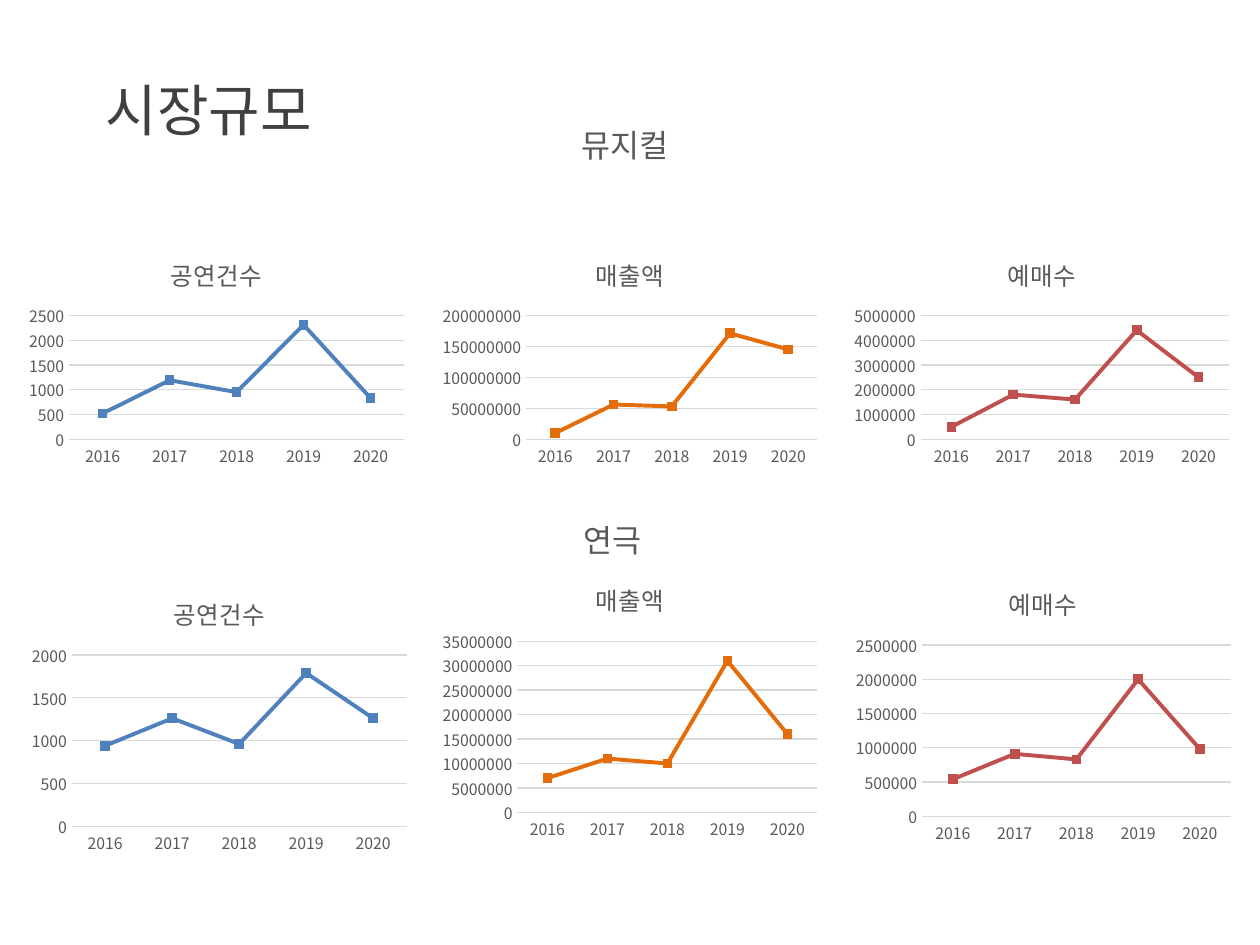
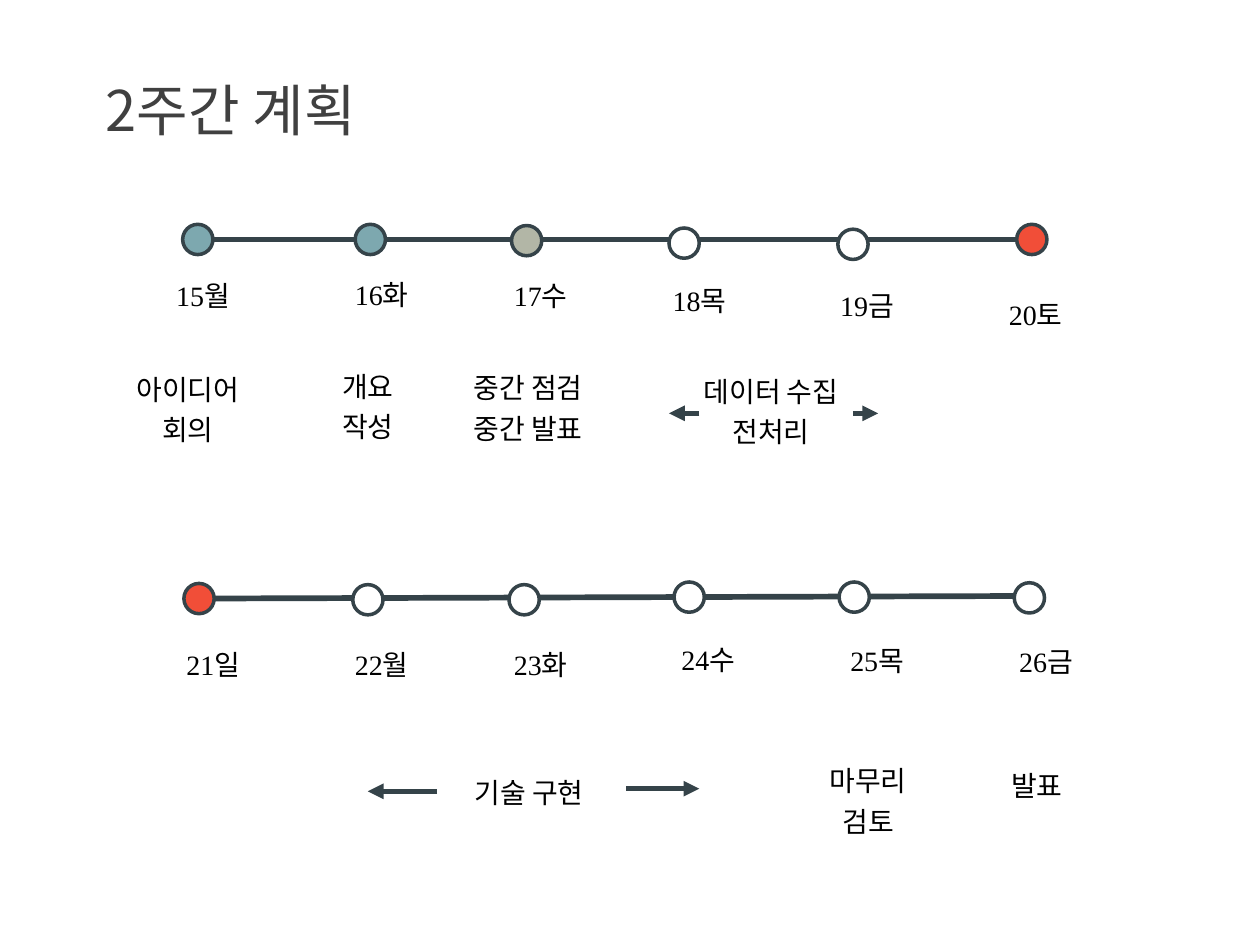
from lxml import etree
from pptx import Presentation
from pptx.chart.data import CategoryChartData as ChartData
from pptx.dml.color import RGBColor
from pptx.enum.chart import XL_CHART_TYPE as ChartType, XL_TICK_MARK as TickMark
from pptx.enum.shapes import MSO_CONNECTOR as Connector, MSO_SHAPE as Shape
from pptx.enum.text import MSO_ANCHOR as Anchor, MSO_AUTO_SIZE as AutoSize, PP_ALIGN as Align
from pptx.oxml.ns import qn
from pptx.util import Pt

SANS = "Noto Sans CJK KR"
GRAY, GRID, SLATE = "595959", "D9D9D9", "354349"
TEAL, SAGE, RED, WHITE = "7DA8AF", "B2B6A6", "F14E38", "FFFFFF"


def color(hex_string):
    return RGBColor.from_string(hex_string)


def write(frame, text, size=16, ink="000000", font=SANS, align=Align.LEFT, spacing=None):
    for index, line in enumerate(text.split("\n")):
        para = frame.add_paragraph() if index else frame.paragraphs[0]
        para.alignment = align
        para.line_spacing = spacing
        span = para.add_run()
        span.text = line
        span.font.size = Pt(size)
        span.font.bold = False
        span.font.color.rgb = color(ink)
        span.font.name = font
        east_asian = etree.SubElement(span.font._element, qn("a:ea"))
        east_asian.set("typeface", SANS)


deck = Presentation()
deck.slide_width, deck.slide_height = Pt(720), Pt(540)

pages = []
for text, width in [("시장규모", 144), ("2주간 계획", 172.8)]:
    page = deck.slides.add_slide(deck.slide_layouts[5])
    title = page.shapes.title
    title.left, title.top, title.width, title.height = Pt(53.3), Pt(39.6), Pt(width), Pt(46)
    frame = title.text_frame
    frame.word_wrap = False
    frame.auto_size = AutoSize.SHAPE_TO_FIT_TEXT
    frame.vertical_anchor = Anchor.TOP
    write(frame, text, size=32, ink="404040")
    pages.append(page)
market, plan = pages

for text, left, top in [("뮤지컬", 325.4, 72.7), ("연극", 326.2, 298.1)]:
    box = market.shapes.add_textbox(Pt(left), Pt(top), Pt(129.6), Pt(25.2))
    box.text_frame.word_wrap = True
    write(box.text_frame, text, size=18, ink=GRAY, font="Calibri", spacing=0.8)

SHOWS, SALES, TICKETS = ("공연건수", "4F81BD"), ("매출액", "E46C0A"), ("예매수", "C0504D")
charts = [
    (SHOWS, 12.2, 136.1, 133.2, 2500, 500, (520, 1190, 950, 2310, 830)),
    (SALES, 248.4, 136.1, 133.2, 200000000, 50000000,
     (10000000, 56000000, 53000000, 171000000, 145000000)),
    (TICKETS, 483.8, 136.1, 133.2, 5000000, 1000000,
     (500000, 1800000, 1600000, 4400000, 2500000)),
    (SHOWS, 13.7, 329, 162, 2000, 500, (940, 1260, 960, 1790, 1260)),
    (SALES, 248.4, 321.1, 162, 35000000, 5000000,
     (7000000, 11000000, 10000000, 31000000, 16000000)),
    (TICKETS, 484.6, 323.3, 162, 2500000, 500000,
     (540000, 910000, 830000, 2000000, 980000)),
]
for (name, hue), left, top, height, maximum, step, values in charts:
    data = ChartData()
    data.categories = [str(year) for year in range(2016, 2021)]
    data.add_series(name, values)
    chart = market.shapes.add_chart(
        ChartType.LINE, Pt(left), Pt(top), Pt(223.2), Pt(height), data).chart
    chart.has_legend = False
    chart.has_title = True
    write(chart.chart_title.text_frame, name, size=14, ink=GRAY, align=Align.CENTER)
    chart.font.name, chart.font.size = SANS, Pt(10)
    years, amounts = chart.category_axis, chart.value_axis
    for axis in (years, amounts):
        axis.major_tick_mark = axis.minor_tick_mark = TickMark.NONE
        font = axis.tick_labels.font
        font.name, font.size, font.color.rgb = SANS, Pt(9), color(GRAY)
    amounts.minimum_scale, amounts.maximum_scale, amounts.major_unit = 0, maximum, step
    amounts.format.line.fill.background()
    for rule in (years.format.line, amounts.major_gridlines.format.line):
        rule.color.rgb, rule.width = color(GRID), Pt(0.75)
    chart.plots[0].vary_by_categories = False
    series = chart.plots[0].series[0]
    series.smooth = False
    series.format.line.color.rgb = color(hue)
    series.format.line.width = Pt(2.25)
    series.format.line._ln.set("cap", "rnd")
    series.marker.style = None
    series.marker.format.fill.background()

lines = [
    (121.7, 342, 581, 340.6, 3.25, False),
    (121.7, 136.8, 580.3, 136.8, 3.25, False),
    (357.8, 450.7, 399.6, 450.7, 3, True),
    (487.4, 236.2, 501.8, 236.2, 3, True),
    (249.8, 452.2, 210.2, 452.2, 3, True),
    (399.6, 236.2, 382.3, 236.2, 3, True),
]
for start_x, start_y, end_x, end_y, width, arrow in lines:
    line = plan.shapes.add_connector(
        Connector.STRAIGHT, Pt(start_x), Pt(start_y), Pt(end_x), Pt(end_y))
    line.line.color.rgb, line.line.width = color(SLATE), Pt(width)
    etree.SubElement(line._element.spPr, qn("a:effectLst"))
    if arrow:
        etree.SubElement(line.line._ln, qn("a:tailEnd")).set("type", "triangle")

days = [
    ("15월", TEAL, 104.4, 128.2, 93.6, 155.5),
    ("16화", TEAL, 203, 128.2, 195.8, 154.8),
    ("17수", SAGE, 292.3, 128.9, 286.6, 155.5),
    ("18목", WHITE, 382.3, 130.3, 377.3, 158.4),
    ("19금", WHITE, 478.8, 131, 473, 161.3),
    ("20토", RED, 581, 128.2, 569.5, 166.3),
    ("21일", RED, 105.1, 333.4, 99.4, 366.5),
    ("22월", WHITE, 201.6, 334.1, 195.8, 366.5),
    ("23화", WHITE, 290.9, 334.1, 286.6, 366.5),
    ("24수", WHITE, 385.2, 332.6, 382.3, 363.6),
    ("25목", WHITE, 479.5, 332.6, 478.8, 364.3),
    ("26금", WHITE, 579.6, 333, 575.3, 365),
]
for day, hue, dot_left, dot_top, left, top in days:
    dot = plan.shapes.add_shape(Shape.OVAL, Pt(dot_left), Pt(dot_top), Pt(17.3), Pt(17.3))
    dot.shadow.inherit = False
    dot.fill.solid()
    dot.fill.fore_color.rgb = color(hue)
    dot.line.color.rgb, dot.line.width = color(SLATE), Pt(2)
    box = plan.shapes.add_textbox(Pt(left), Pt(top), Pt(45.4), Pt(46))
    box.text_frame.word_wrap = True
    write(box.text_frame, day, font="Times New Roman")

tasks = [
    ("아이디어\n회의", 70.6, 208.8, 73.4),
    ("개요\n작성", 173.5, 207.4, 73.4),
    ("중간 점검\n중간 발표", 265, 208.1, 73.4),
    ("데이터 수집\n전처리", 320.4, 210.2, 240.5),
    ("기술 구현", 182.2, 439.2, 240.5),
    ("마무리\n검토", 459.4, 432.7, 73.4),
    ("발표", 555.8, 435.6, 73.4),
]
for text, left, top, width in tasks:
    frame = plan.shapes.add_textbox(Pt(left), Pt(top), Pt(width), Pt(100)).text_frame
    frame.word_wrap = True
    frame.margin_left = frame.margin_top = frame.margin_right = frame.margin_bottom = 0
    write(frame, text, align=Align.CENTER, spacing=1.2)

deck.save("out.pptx")
